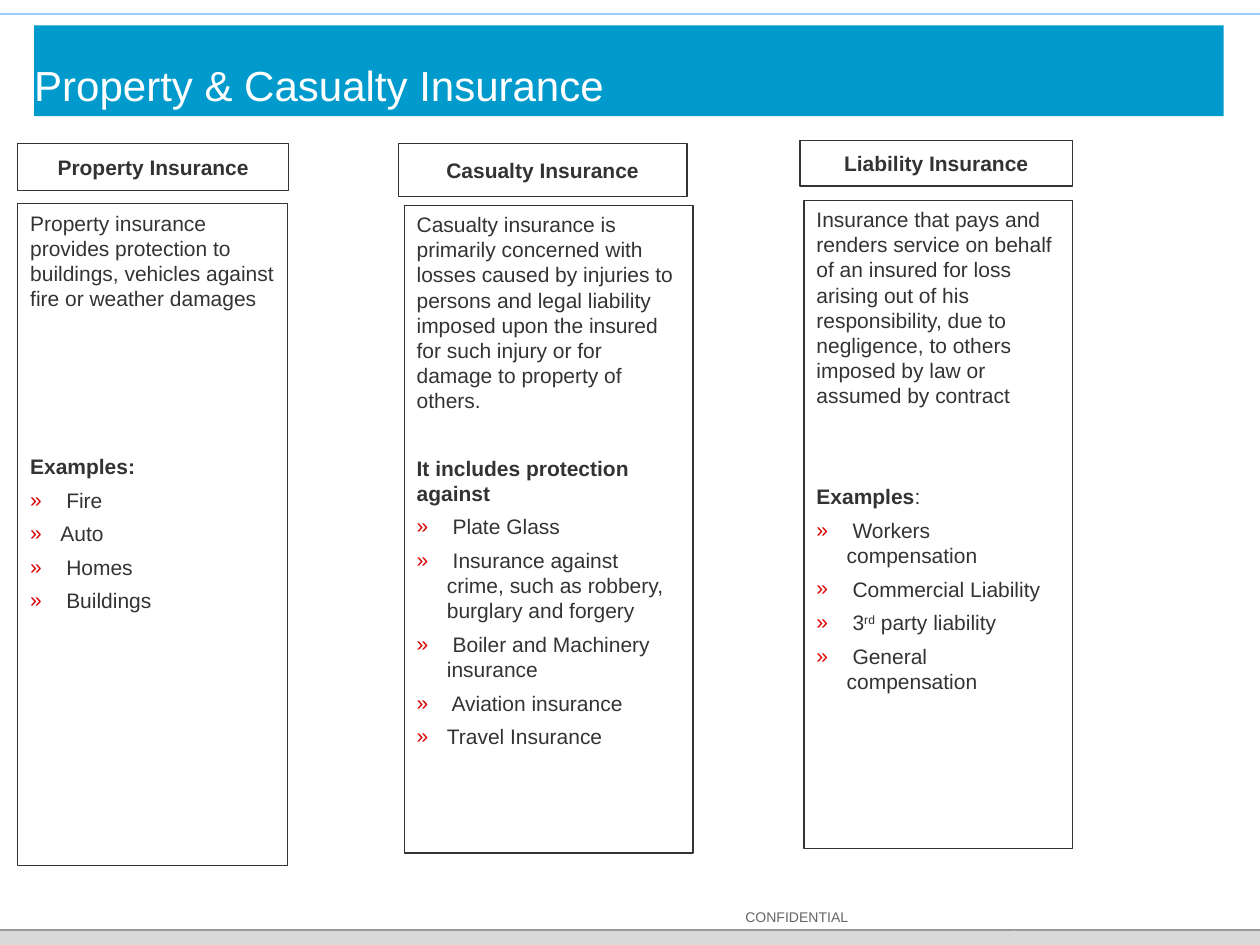
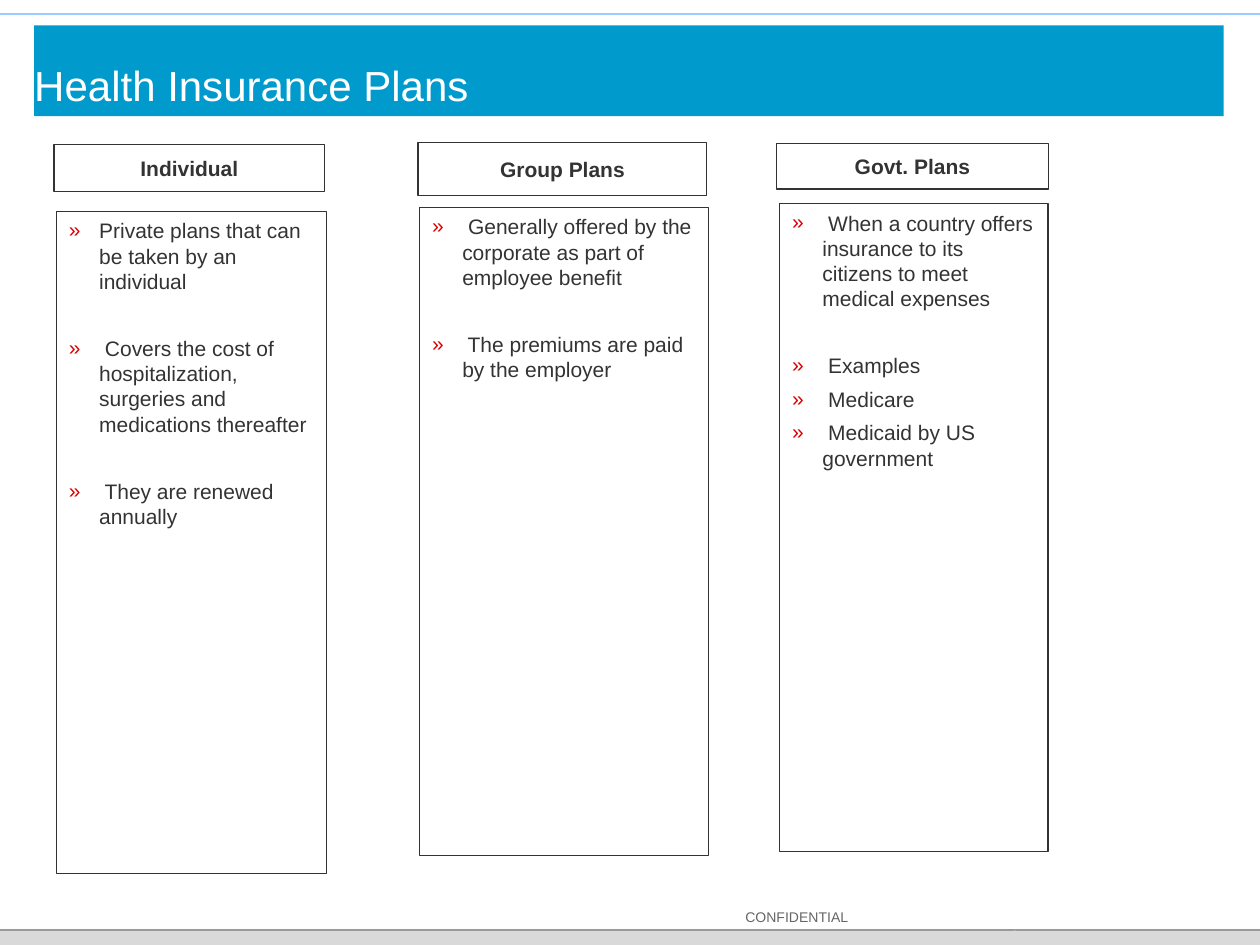
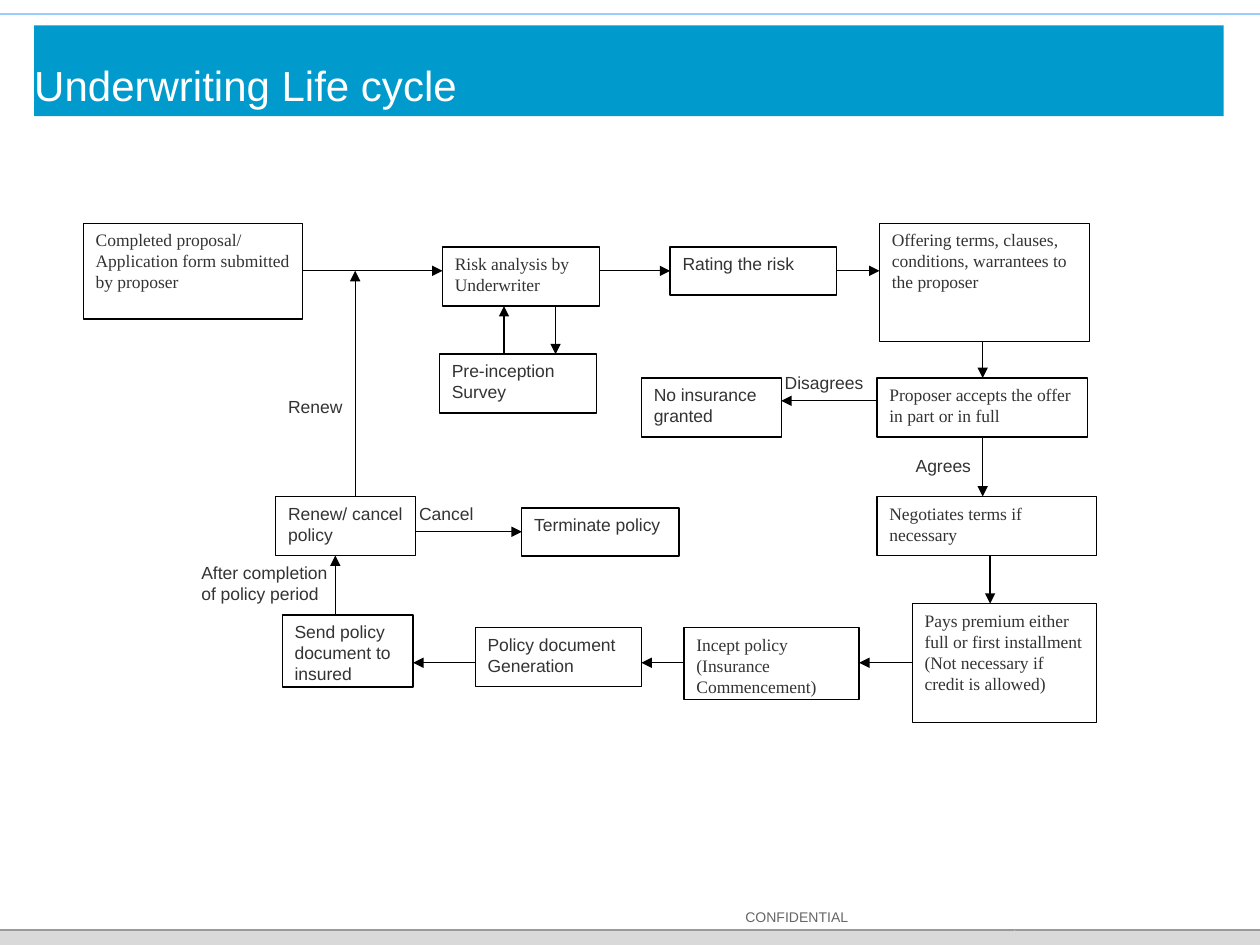
from pptx import Presentation
from pptx.dml.color import RGBColor
from pptx.enum.shapes import MSO_CONNECTOR, MSO_SHAPE
from pptx.enum.text import MSO_ANCHOR, MSO_AUTO_SIZE, PP_ALIGN
from pptx.oxml.ns import qn
from pptx.util import Cm, Pt
from lxml import etree

RECT, STEP, FOLD = MSO_SHAPE.RECTANGLE, MSO_SHAPE.FLOWCHART_PROCESS, MSO_SHAPE.RIGHT_TRIANGLE
LINE = MSO_CONNECTOR.STRAIGHT
LEFT, MID = PP_ALIGN.LEFT, PP_ALIGN.CENTER
TOP, CENTER, BOTTOM = MSO_ANCHOR.TOP, MSO_ANCHOR.MIDDLE, MSO_ANCHOR.BOTTOM
FIXED = MSO_AUTO_SIZE.NONE
SANS, SERIF = "Arial", "Times New Roman"
BLUE, INK, BLACK, WHITE = "009BCC", "333333", "000000", "FFFFFF"
RED, GREY, SILVER, SKY, RULE = "DB0000", "666666", "D9D9D9", "99CCFF", "9A9A9A"
WIDE, HIGH, FOOT = 10, 7.5, 7.38
AFTER, BLANK = 4.8, 19.2
HANG = 0.24

# A list item is (kind, text, gap); the gap above it is counted in lines.
# Kinds: "p" plain, "h" bold heading, "b" bullet.
PLANS = [
    ("Property & Casualty Insurance", [
        ("Property Insurance", (0.14, 1.14), (0.14, 1.62), [
            ("p", "Property insurance provides protection to buildings, "
                  "vehicles against fire or weather damages", 0),
            ("h", "Examples:", 4),
            ("b", " Fire", 0),
            ("b", "Auto", 0),
            ("b", " Homes", 0),
            ("b", " Buildings", 0)]),
        ("Casualty Insurance", (3.16, 1.14), (3.21, 1.63), [
            ("p", "Casualty insurance is primarily concerned with losses caused "
                  "by injuries to persons and legal liability imposed upon the "
                  "insured for such injury or for damage to property of others.", 0),
            ("h", "It includes protection against", 1),
            ("b", " Plate Glass", 0),
            ("b", " Insurance against crime, such as robbery, burglary and forgery", 0),
            ("b", " Boiler and Machinery insurance", 0),
            ("b", " Aviation insurance", 0),
            ("b", "Travel Insurance", 0)]),
        ("Liability Insurance", (6.35, 1.12), (6.38, 1.59), [
            ("p", "Insurance that pays and renders service on behalf of an insured "
                  "for loss arising out of his responsibility, due to negligence, "
                  "to others imposed by law or assumed by contract", 0),
            ("h", [("Examples", {}), (":", {"bold": False})], 2),
            ("b", " Workers compensation", 0),
            ("b", " Commercial Liability", 0),
            ("b", [(" 3", {}), ("rd", {"rise": 30}), (" party liability", {})], 0),
            ("b", " General compensation", 0)]),
    ]),
    ("Health Insurance Plans", [
        ("Individual", (0.43, 1.15), (0.45, 1.68), [
            ("b", "Private plans that can be taken by an individual", 0),
            ("b", " Covers the cost of hospitalization, surgeries and "
                  "medications thereafter", 1),
            ("b", " They are renewed annually", 1)]),
        ("Group Plans", (3.32, 1.13), (3.33, 1.65), [
            ("b", " Generally offered by the corporate as part of employee benefit", 0),
            ("b", " The premiums are paid by the employer", 1)]),
        ("Govt. Plans", (6.16, 1.14), (6.19, 1.62), [
            ("b", " When a country offers insurance to its citizens to meet "
                  "medical expenses", 0),
            ("b", " Examples", 1),
            ("b", " Medicare", 0),
            ("b", " Medicaid by US government", 0)]),
    ]),
]
# Sizes of the header and the list box, by column
SIZES = [((2.15, 0.37), (2.14, 5.25)),
         ((2.29, 0.42), (2.29, 5.14)),
         ((2.16, 0.36), (2.13, 5.14))]

CYCLE = "Underwriting Life cycle"
STEPS = {
    "apply": ("Completed proposal/ Application form submitted by proposer",
              (0.66, 1.77, 1.74, 0.76), STEP, SERIF),
    "risk": ("Risk analysis by Underwriter", (3.51, 1.96, 1.25, 0.47), STEP, SERIF),
    "rate": ("Rating the risk", (5.32, 1.96, 1.32, 0.38), RECT, SANS),
    "survey": ("Pre-inception Survey", (3.49, 2.81, 1.25, 0.47), RECT, SANS),
    "offer": ("Offering terms, clauses, conditions, warrantees to the proposer",
              (6.98, 1.77, 1.67, 0.94), STEP, SERIF),
    "accept": ("Proposer accepts the offer in part or in full",
               (6.96, 3, 1.67, 0.47), STEP, SERIF),
    "terms": ("Negotiates terms if necessary", (6.96, 3.94, 1.74, 0.47), RECT, SERIF),
    "pay": ("Pays premium either full or first installment "
            "(Not necessary if credit is allowed)",
            (7.24, 4.79, 1.46, 0.94), RECT, SERIF),
    "incept": ("Incept policy (Insurance Commencement)",
               (5.43, 4.98, 1.39, 0.57), RECT, SERIF),
    "refuse": ("No insurance granted", (5.09, 3, 1.11, 0.47), RECT, SANS),
    "print": ("Policy document Generation", (3.77, 4.98, 1.32, 0.47), RECT, SANS),
    "send": ("Send policy document to insured", (2.24, 4.88, 1.04, 0.57), RECT, SANS),
    "renew": ("Renew/ cancel policy", (2.19, 3.94, 1.11, 0.47), RECT, SANS),
    "end": ("Terminate policy", (4.14, 4.03, 1.25, 0.38), RECT, SANS),
}
JOIN = (2.82, 2.15, 0, 0)   # where a renewal meets the first arrow
ACROSS = [("apply", "risk", 2.15), ("risk", "rate", 2.15), ("rate", "offer", 2.15),
          ("accept", "refuse", 3.18), ("pay", "incept", 5.26),
          ("incept", "print", 5.26), ("print", "send", 5.26), ("renew", "end", 4.22)]
UPDOWN = [("risk", "survey", 4.41), ("survey", "risk", 4), ("offer", "accept", 7.8),
          ("accept", "terms", 7.8), ("terms", "pay", 7.86), ("send", "renew", 2.66),
          ("renew", "join", 2.82)]
NOTES = [("Disagrees", (6.13, 2.9, 1, 0.28)),
         ("After completion of policy period", (1.5, 4.41, 1.32, 0.47)),
         ("Agrees", (7.17, 3.56, 0.65, 0.28)),
         ("Cancel", (3.23, 3.94, 1, 0.28)),
         ("Renew", (2.19, 3.09, 0.72, 0.28))]


def size(inch):
    """Turn inches into a length."""
    return Cm(round(inch * 2.54, 2))


def color(code):
    """Turn a hex string into a colour."""
    return RGBColor.from_string(code)


def write(para, text, pts, font=SANS, ink=INK, bold=False):
    """Add a string, or a list of (text, changes), run by run."""
    for part, diff in ([(text, {})] if isinstance(text, str) else text):
        run = para.add_run()
        run.text = part
        run.font.name, run.font.size = font, Pt(pts)
        run.font.bold = diff.get("bold", bold)
        run.font.color.rgb = color(ink)
        if "rise" in diff:
            run.font._element.set("baseline", str(diff["rise"] * 1000))


def frame(shape, anchor=TOP, wrap=True):
    """Set the text frame of a shape and return it."""
    text = shape.text_frame
    text.auto_size, text.word_wrap = FIXED, wrap
    text.vertical_anchor = anchor
    return text


def box(shapes, area, form=RECT, fill=None, edge=None):
    """Draw a flat shape."""
    shape = shapes.add_shape(form, *map(size, area))
    shape.shadow.inherit = False
    if fill:
        shape.fill.solid()
        shape.fill.fore_color.rgb = color(fill)
    else:
        shape.fill.background()
    if edge:
        shape.line.color.rgb = color(edge)
        shape.line.width = Pt(0.75)
    else:
        shape.line.fill.background()
    return shape


def line(shapes, ends, ink=BLACK, arrow=False):
    """Draw a thin line, with an arrowhead at its end if asked."""
    wire = shapes.add_connector(LINE, *map(size, ends))
    wire.line.color.rgb = color(ink)
    wire.line.width = Pt(0.75)
    props = wire.element.spPr
    if arrow:
        etree.SubElement(props.find(qn("a:ln")), qn("a:tailEnd"), type="triangle")
    etree.SubElement(props, qn("a:effectLst"))
    return wire


def label(shapes, text, area, pts, ink=INK, align=LEFT, anchor=TOP):
    """Add a line of free text."""
    words = frame(shapes.add_textbox(*map(size, area)), anchor)
    words.paragraphs[0].alignment = align
    write(words.paragraphs[0], text, pts, ink=ink)


def bands(slide):
    """Draw the bands once and move them to the layout of the slide."""
    shapes, thick = slide.shapes, HIGH - FOOT
    parts = [box(shapes, (0, FOOT, WIDE, thick), fill=SILVER),
             line(shapes, (0, FOOT, WIDE, FOOT), RULE),
             line(shapes, (0, 0.11, WIDE, 0.11), SKY),
             box(shapes, (8.05, FOOT, thick, thick), FOLD, SILVER)]
    for part in parts:
        slide.slide_layout.shapes.element.append(part.element)


def page(deck, name):
    """Add a slide with its footer and title bar."""
    slide = deck.slides.add_slide(deck.slide_layouts[5])
    label(slide.shapes, "CONFIDENTIAL", (4.48, 7.16, 3.69, 0.23), 8, GREY, MID, BOTTOM)
    title = slide.shapes.title
    title.left, title.top, title.width, title.height = map(size, (0.27, 0.2, 9.44, 0.72))
    title.fill.solid()
    title.fill.fore_color.rgb = color(BLUE)
    text = frame(title, BOTTOM)
    text.margin_left, text.margin_right = 0, size(0.1)
    text.margin_top = text.margin_bottom = size(0.05)
    para = text.paragraphs[0]
    para.alignment, para.line_spacing = LEFT, 0.8
    write(para, name, 24, ink=WHITE)
    return slide


def bullet(para):
    """Give a paragraph a hanging red bullet."""
    props = para._p.get_or_add_pPr()
    props.set("marL", str(size(HANG)))
    props.set("indent", str(-size(HANG)))
    tint = etree.SubElement(props, qn("a:buClr"))
    etree.SubElement(tint, qn("a:srgbClr"), val=RED)
    etree.SubElement(props, qn("a:buFont"), typeface=SANS)
    etree.SubElement(props, qn("a:buChar"), char="\u00bb")


def fill_list(shape, items):
    """Write the items of a list box."""
    text = frame(shape)
    for i, (kind, words, gap) in enumerate(items):
        para = text.add_paragraph() if i else text.paragraphs[0]
        para.alignment = LEFT
        para.space_before, para.space_after = Pt(gap * BLANK), Pt(AFTER)
        if kind == "b":
            bullet(para)
        write(para, words, 12, bold=kind == "h")


def columns(slide, cols):
    """Draw the headers, then the list boxes."""
    for (name, spot, _, _), (head, _) in zip(cols, SIZES):
        text = frame(box(slide.shapes, spot + head, edge=INK), CENTER, False)
        para = text.paragraphs[0]
        para.alignment, para.space_after = MID, Pt(AFTER)
        write(para, name, 12, bold=True)
    for (_, _, spot, items), (_, body) in zip(cols, SIZES):
        fill_list(box(slide.shapes, spot + body, edge=INK), items)


def span(start, stop, axis):
    """Find the facing edges of two areas along an axis."""
    a, b = start[axis], stop[axis]
    if a < b:
        return a + start[axis + 2], b
    return a, b + stop[axis + 2]


def flow(slide):
    """Draw the life cycle as one group."""
    shapes = slide.shapes.add_group_shape().shapes
    areas = {"join": JOIN}
    for key, (text, area, form, font) in STEPS.items():
        areas[key] = area
        para = frame(box(shapes, area, form, WHITE, BLACK)).paragraphs[0]
        para.alignment = LEFT
        write(para, text, 10, font)
    for start, stop, y in ACROSS:
        x1, x2 = span(areas[start], areas[stop], 0)
        line(shapes, (x1, y, x2, y), arrow=True)
    for start, stop, x in UPDOWN:
        y1, y2 = span(areas[start], areas[stop], 1)
        line(shapes, (x, y1, x, y2), arrow=True)
    for text, area in NOTES:
        label(shapes, text, area, 10)


def main():
    """Build the deck."""
    deck = Presentation()
    deck.slide_width, deck.slide_height = size(WIDE), size(HIGH)
    for name, cols in PLANS:
        columns(page(deck, name), cols)
    last = page(deck, CYCLE)
    flow(last)
    bands(last)
    deck.save("out.pptx")


main()
